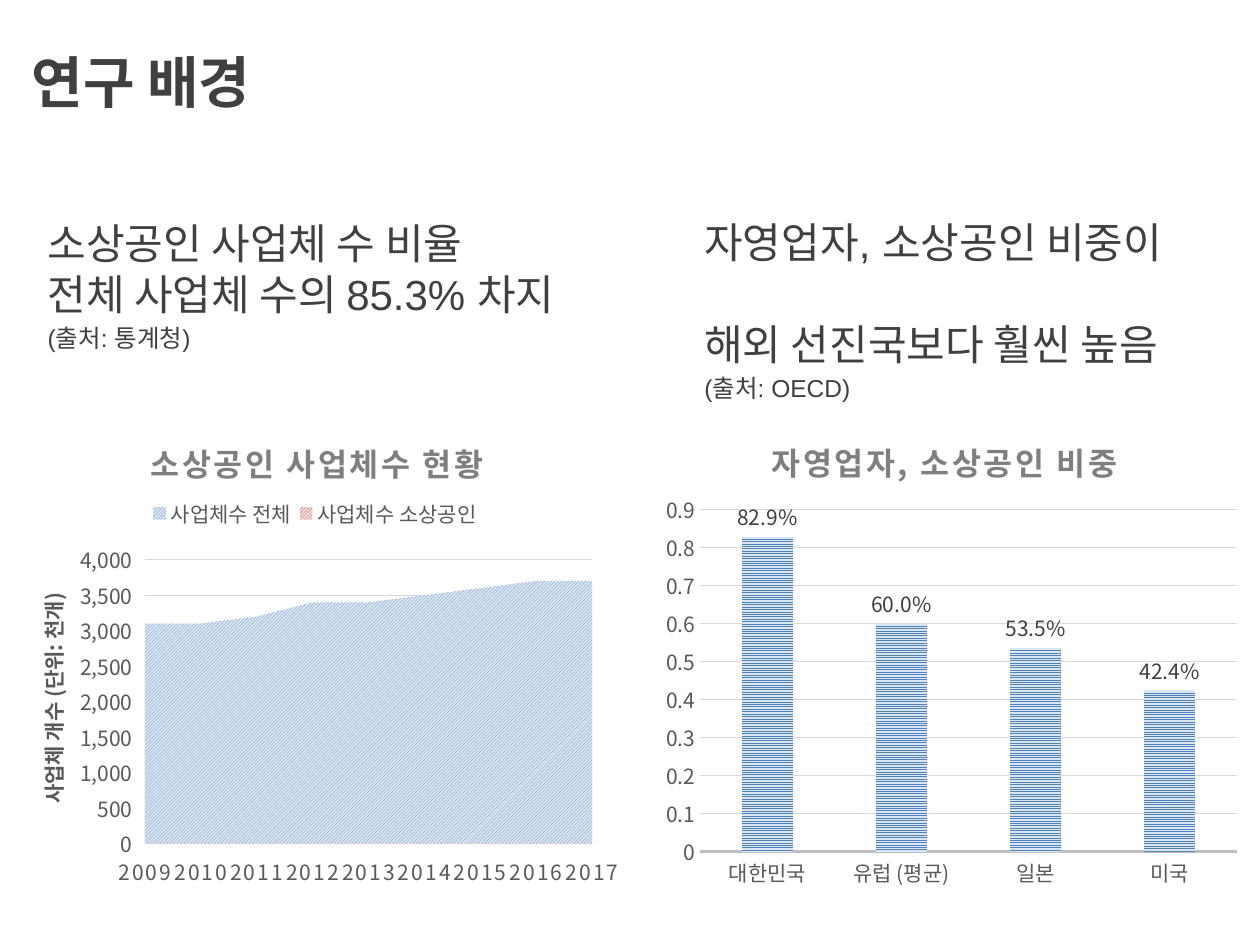
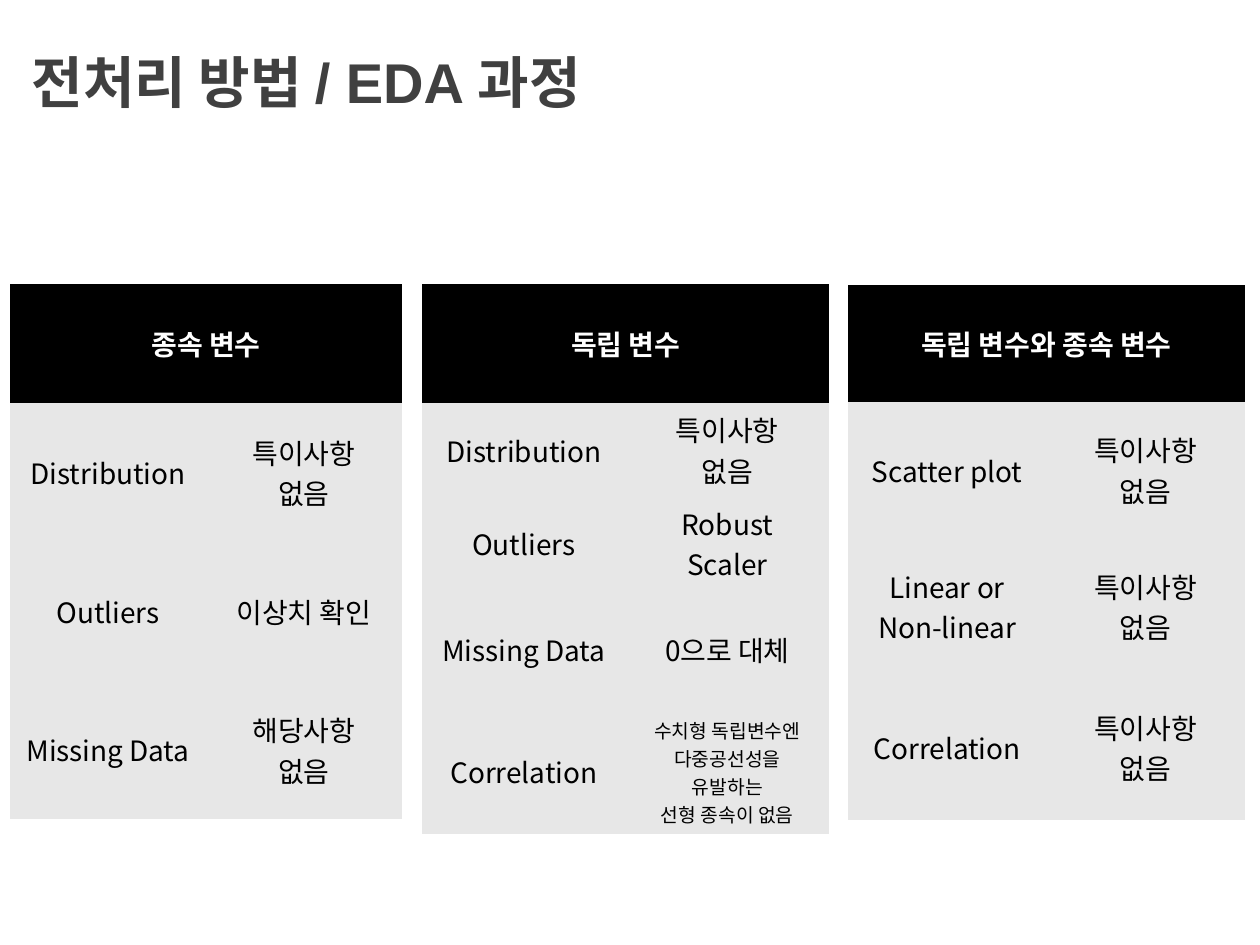
from lxml import etree
from pptx import Presentation
from pptx.chart.data import CategoryChartData
from pptx.dml.color import RGBColor
from pptx.enum.chart import XL_CHART_TYPE, XL_LABEL_POSITION, XL_LEGEND_POSITION, XL_TICK_MARK
from pptx.enum.dml import MSO_PATTERN
from pptx.enum.text import MSO_ANCHOR, PP_ALIGN
from pptx.oxml.ns import qn
from pptx.util import Inches, Pt

LEFT, CENTER = PP_ALIGN.LEFT, PP_ALIGN.CENTER
TOP, MIDDLE = MSO_ANCHOR.TOP, MSO_ANCHOR.MIDDLE
AREA, COLUMN = XL_CHART_TYPE.AREA, XL_CHART_TYPE.COLUMN_CLUSTERED
DIAGONAL, HORIZONTAL = MSO_PATTERN.LIGHT_UPWARD_DIAGONAL, MSO_PATTERN.NARROW_HORIZONTAL
TICK_OUT, TICK_NONE = XL_TICK_MARK.OUTSIDE, XL_TICK_MARK.NONE
LEGEND_TOP, OUTSIDE_END = XL_LEGEND_POSITION.TOP, XL_LABEL_POSITION.OUTSIDE_END

LATIN, KOREAN = "Arial", "Noto Sans CJK KR"
NO_TABLE_STYLE = "{2D5ABB26-0587-4C30-8999-92F81FD0307C}"
COLORS = {
    "text": "404040", "chart_title": "7F7F7F", "axis": "595959",
    "axis_line": "BFBFBF", "grid": "D9D9D9",
    "blue": "4F81BD", "blue_light": "DCE6F2",
    "red": "C0504D", "red_light": "F2DCDB",
    "black": "000000", "white": "FFFFFF", "cell": "E7E7E7",
}


def color(name):
    return RGBColor.from_string(COLORS[name])


def style_font(font, size, color_name, bold=False, name=KOREAN, spacing=None):
    font.size, font.bold, font.name = Pt(size), bold, name
    font.color.rgb = color(color_name)
    properties = font._element
    latin = properties.find(qn("a:latin"))
    east_asian = etree.Element(qn("a:ea"), typeface=KOREAN)
    latin.addnext(east_asian)
    if spacing:
        properties.set("spc", str(spacing))


# Slide text
def add_titled_slide(deck, title):
    slide = deck.slides.add_slide(deck.slide_layouts[5])
    box = slide.shapes.title
    box.left, box.top = Inches(0), Inches(0.02)
    box.width, box.height = Inches(10), Inches(1.17)
    frame = box.text_frame
    frame.text = title
    frame.vertical_anchor = MIDDLE
    frame.margin_left, frame.margin_top = Inches(0.25), Inches(0.13)
    para = frame.paragraphs[0]
    para.alignment = LEFT
    style_font(para.font, 32, "text", bold=True, name=LATIN)
    return slide


def add_finding(slide, place, lines, source, indent=0.1, gap=0, anchor=MIDDLE):
    box = slide.shapes.add_textbox(*map(Inches, place))
    frame = box.text_frame
    frame.word_wrap = True
    frame.vertical_anchor = anchor
    frame.margin_left = Inches(indent)
    frame.text = "\n".join([*lines, source])
    *statements, source_para = frame.paragraphs
    for para in statements:
        para.line_spacing = Pt(29)
        style_font(para.font, 24, "text", name=LATIN)
    statements[-1].space_before = Pt(gap)
    source_para.line_spacing = Pt(19)
    style_font(source_para.font, 14, "text", name=LATIN)


# Charts
def set_layout(element, x, y, width=None, height=None):
    """Place a chart part by fractions of the chart's size."""
    old = element.find(qn("c:layout"))
    if old is not None:
        element.remove(old)
    layout = etree.Element(qn("c:layout"))
    manual = etree.SubElement(layout, qn("c:manualLayout"))
    settings = [("xMode", "edge"), ("yMode", "edge"), ("x", x), ("y", y)]
    if element.tag == qn("c:plotArea"):
        settings.insert(0, ("layoutTarget", "inner"))
    if width:
        settings += [("w", width), ("h", height)]
    for tag, value in settings:
        etree.SubElement(manual, qn(f"c:{tag}"), val=str(value))
    for tag in ("c:tx", "c:legendPos"):
        previous = element.find(qn(tag))
        if previous is not None:
            previous.addnext(layout)
            return
    element.insert(0, layout)


def set_chart_title(chart, text, x):
    chart.has_title = True
    frame = chart.chart_title.text_frame
    frame.text = text
    style_font(frame.paragraphs[0].font, 18, "chart_title", bold=True, spacing=150)
    set_layout(chart.chart_title._element, x, 0.045)


def style_axes(chart, tick, maximum, step, number_format, category_spacing=None):
    categories, values = chart.category_axis, chart.value_axis
    for axis in (categories, values):
        axis.major_tick_mark, axis.minor_tick_mark = tick, TICK_NONE
        axis.format.line.fill.background()
    style_font(categories.tick_labels.font, 12, "axis", spacing=category_spacing)
    style_font(values.tick_labels.font, 12, "axis")
    categories.has_major_gridlines = False
    values.has_major_gridlines = True
    grid = values.major_gridlines.format.line
    grid.width, grid.color.rgb = Pt(0.75), color("grid")
    values.minimum_scale, values.maximum_scale, values.major_unit = 0, maximum, step
    values.tick_labels.number_format = number_format
    values.tick_labels.number_format_is_linked = False


def add_chart(slide, place, kind, categories, series, pattern, title, title_x, plot_place):
    """Series are (name, values, colour name) tuples."""
    data = CategoryChartData()
    data.categories = categories
    for name, values, _ in series:
        data.add_series(name, values)
    chart = slide.shapes.add_chart(kind, *map(Inches, place), data).chart
    style_font(chart.font, 10, "black")
    chart.has_legend = False
    chart.plots[0].vary_by_categories = False
    set_chart_title(chart, title, title_x)
    set_layout(chart._chartSpace.find(".//" + qn("c:plotArea")), *plot_place)
    for drawn, (_, _, color_name) in zip(chart.plots[0].series, series):
        fill = drawn.format.fill
        fill.patterned()
        fill.pattern = pattern
        fill.fore_color.rgb = color(color_name)
        fill.back_color.rgb = color(color_name + "_light")
    return chart


def add_business_chart(slide):
    series = [
        ("사업체수 전체", [3100, 3100, 3200, 3400, 3400, 3500, 3600, 3700, 3700], "blue"),
        ("사업체수 소상공인", [2700, 2700, 2800, 2900, 3000, 3100, 3100, 3100, 3200], "red"),
    ]
    years = [str(year) for year in range(2009, 2018)]
    chart = add_chart(slide, (0, 3.24, 5, 3.88), AREA, years, series, DIAGONAL,
                      "소상공인 사업체수 현황", 0.23, (0.23, 0.31, 0.71, 0.58))
    style_axes(chart, TICK_OUT, 4000, 500, "#,##0", category_spacing=120)

    axis_title = chart.value_axis.axis_title
    frame = axis_title.text_frame
    frame.text = "사업체 개수 (단위: 천개)"
    style_font(frame.paragraphs[0].font, 12, "axis", bold=True)
    body = axis_title._element.find(".//" + qn("a:bodyPr"))
    body.set("rot", "-5400000")
    body.set("vert", "horz")
    set_layout(axis_title._element, 0.05, 0.37)

    chart.has_legend = True
    chart.legend.position = LEGEND_TOP
    chart.legend.include_in_layout = False
    style_font(chart.legend.font, 12, "axis")
    set_layout(chart.legend._element, 0.23, 0.18, 0.54, 0.07)


def add_share_chart(slide):
    countries = ["대한민국", "유럽 (평균)", "일본", "미국"]
    series = [("Series 1", [0.829, 0.6, 0.535, 0.424], "blue")]
    chart = add_chart(slide, (5.18, 3.23, 4.73, 3.88), COLUMN, countries, series, HORIZONTAL,
                      "자영업자, 소상공인 비중", 0.19, (0.08, 0.21, 0.9, 0.7))
    style_axes(chart, TICK_NONE, 0.9, 0.1, "General")
    baseline = chart.category_axis.format.line
    baseline.width, baseline.color.rgb = Pt(1.5), color("axis_line")

    plot = chart.plots[0]
    plot.gap_width, plot.overlap = 164, -22
    plot.has_data_labels = True
    labels = plot.data_labels
    labels.show_value, labels.position = True, OUTSIDE_END
    labels.number_format, labels.number_format_is_linked = "0.0%", False
    style_font(labels.font, 12, "text")


# Tables
def fill_cell(cell, text, fill, font_color, size=16, bold=False):
    cell.fill.solid()
    cell.fill.fore_color.rgb = color(fill)
    cell.vertical_anchor = MIDDLE
    cell.text_frame.text = text
    for para in cell.text_frame.paragraphs:
        para.alignment = CENTER
        style_font(para.font, size, font_color, bold)


def add_check_table(slide, left, top, width, heights, heading, checks):
    """Checks are (name, result) pairs, with an optional result text size."""
    shape = slide.shapes.add_table(len(heights), 2, Inches(left), Inches(top),
                                   Inches(width), Inches(sum(heights)))
    table = shape.table
    table._tbl.tblPr.find(qn("a:tableStyleId")).text = NO_TABLE_STYLE
    table.first_row = table.horz_banding = False
    for column in table.columns:
        column.width = Inches(width / 2)
    for row, height in zip(table.rows, heights):
        row.height = Inches(height)
    table.cell(0, 0).merge(table.cell(0, 1))
    fill_cell(table.cell(0, 0), heading, "black", "white", bold=True)
    for index, (name, result, *size) in enumerate(checks, start=1):
        fill_cell(table.cell(index, 0), name, "cell", "black")
        fill_cell(table.cell(index, 1), result, "cell", "black", *size)


# Slides
def add_background_slide(deck):
    slide = add_titled_slide(deck, "연구 배경")
    add_finding(slide, (0.28, 1.55, 4.57, 1.42),
                ["소상공인 사업체 수 비율", "전체 사업체 수의 85.3% 차지"], "(출처: 통계청)")
    add_business_chart(slide)
    add_finding(slide, (5.16, 1.67, 4.41, 1.14),
                ["자영업자, 소상공인 비중이", "해외 선진국보다 훨씬 높음"], "(출처: OECD)",
                indent=0.43, gap=29, anchor=TOP)
    add_share_chart(slide)


def add_preprocessing_slide(deck):
    slide = add_titled_slide(deck, "전처리 방법 / EDA 과정")
    nothing = "특이사항\n없음"
    add_check_table(slide, 0.08, 2.25, 3.11, [0.95, 1.1, 1.1, 1.1], "종속 변수", [
        ("Distribution", nothing),
        ("Outliers", "이상치 확인"),
        ("Missing Data", "해당사항\n없음"),
    ])
    add_check_table(slide, 3.35, 2.25, 3.23, [0.95, 0.7, 0.7, 0.95, 0.95], "독립 변수", [
        ("Distribution", nothing),
        ("Outliers", "Robust Scaler"),
        ("Missing Data", "0으로 대체"),
        ("Correlation", "수치형 독립변수엔\n다중공선성을\n유발하는\n선형 종속이 없음", 11),
    ])
    add_check_table(slide, 6.73, 2.26, 3.15, [0.93, 1.08, 1.08, 1.16], "독립 변수와 종속 변수", [
        ("Scatter plot", nothing),
        ("Linear or\nNon-linear", nothing),
        ("Correlation", nothing),
    ])


def main():
    deck = Presentation()
    deck.slide_width, deck.slide_height = Inches(10), Inches(7.5)
    add_background_slide(deck)
    add_preprocessing_slide(deck)
    deck.save("out.pptx")


if __name__ == "__main__":
    main()
